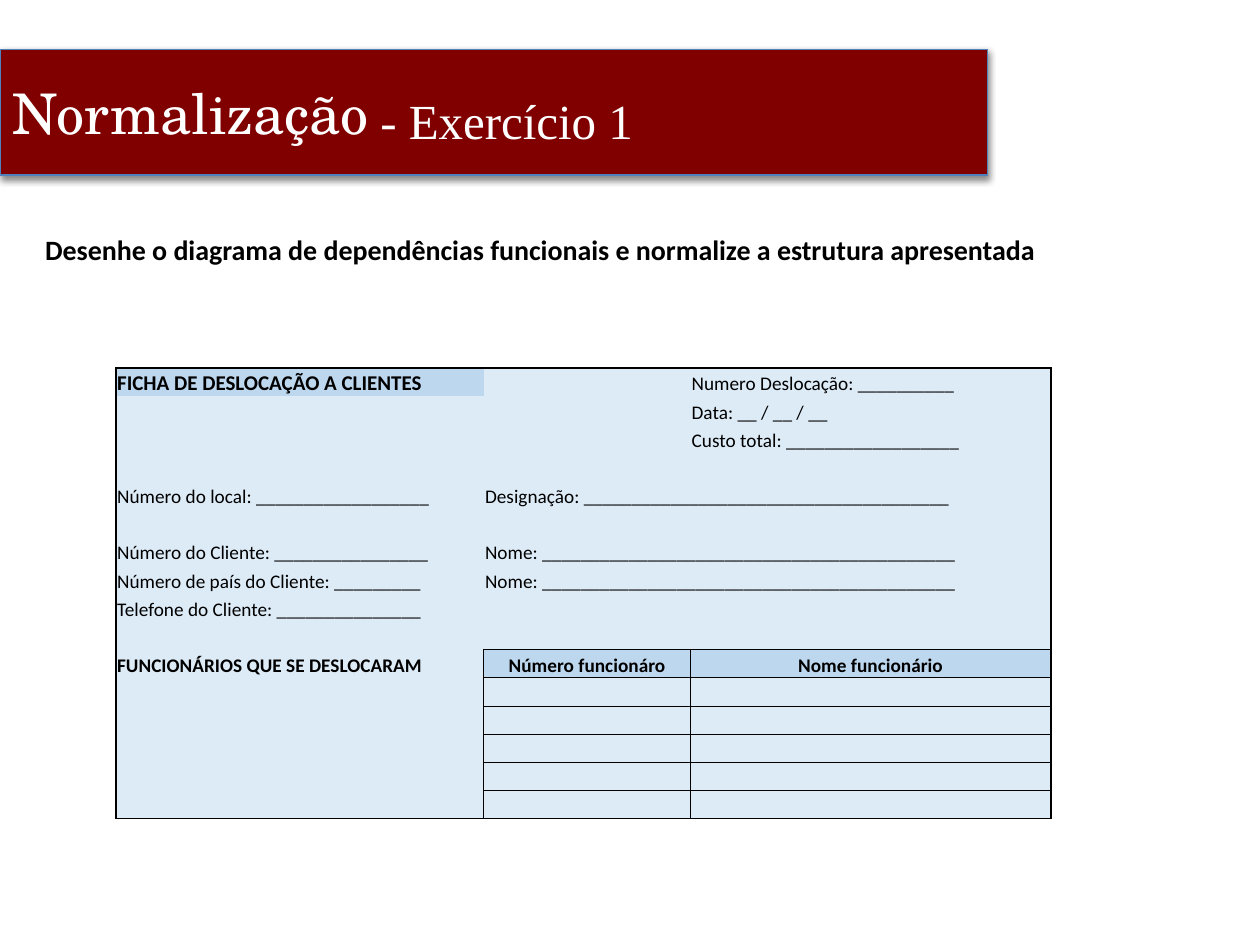
from dataclasses import dataclass

from lxml.etree import SubElement
from pptx import Presentation
from pptx.dml.color import RGBColor
from pptx.enum.text import MSO_ANCHOR as Anchor, MSO_AUTO_SIZE as AutoSize, PP_ALIGN as Align
from pptx.oxml.ns import qn
from pptx.util import Emu, Inches, Pt


@dataclass(frozen=True)
class Theme:
    banner: str = "800000"
    banner_line: str = "4F81BD"
    white: str = "FFFFFF"
    ink: str = "000000"
    form: str = "DDEBF7"
    heading: str = "BDD7EE"
    title_font: str = "TeX Gyre Schola"
    subtitle_font: str = "Times New Roman"
    body_font: str = "Calibri"
    title_size: int = 32
    subtitle_size: int = 28
    task_size: int = 16
    form_title_size: int = 12
    form_size: int = 11
    outer_border: float = 1
    inner_border: float = 0.5


THEME = Theme()
ROWS = 16
COLUMN_WIDTHS = (2.92, 1.64, 2.86)
STAFF_ROW, STAFF_COLUMN = 10, 1
HEADINGS = {(0, 0), (STAFF_ROW, 1), (STAFF_ROW, 2)}
WIDE_FIELDS = {(4, 1), (6, 1), (7, 1)}
FIELDS = {
    (0, 0): "FICHA DE DESLOCAÇÃO A CLIENTES",
    (0, 2): "Numero Deslocação: __________",
    (1, 2): "Data: __ / __ / __",
    (2, 2): "Custo total: __________________",
    (4, 0): "Número do local: __________________",
    (4, 1): "Designação: ______________________________________",
    (6, 0): "Número do Cliente: ________________",
    (6, 1): "Nome: ___________________________________________",
    (7, 0): "Número de país do Cliente: _________",
    (7, 1): "Nome: ___________________________________________",
    (8, 0): "Telefone do Cliente: _______________",
    (STAFF_ROW, 0): "FUNCIONÁRIOS QUE SE DESLOCARAM",
    (STAFF_ROW, 1): "Número funcionáro",
    (STAFF_ROW, 2): "Nome funcionário",
}


def write_text(frame, text, *, font, size, color=THEME.ink, bold=False, align=Align.LEFT):
    paragraph = frame.paragraphs[0]
    paragraph.alignment = align
    run = paragraph.add_run()
    run.text = text
    run.font.name = font
    run.font.size = Pt(size)
    run.font.bold = bold
    run.font.color.rgb = RGBColor.from_string(color)


def place(shape, left, top, width, height):
    shape.left, shape.top = Inches(left), Inches(top)
    shape.width, shape.height = Inches(width), Inches(height)


def add_shadow(shape):
    effects = SubElement(shape._element.spPr, qn("a:effectLst"))
    shadow = SubElement(effects, qn("a:outerShdw"), blurRad=str(Pt(4)), dist=str(Pt(2)),
                        dir=str(90 * 60000), rotWithShape="0")
    color = SubElement(shadow, qn("a:srgbClr"), val=THEME.ink)
    SubElement(color, qn("a:alpha"), val="45000")


def add_banner(slide):
    banner = slide.shapes.title
    place(banner, 0, 0.39, 7.84, 1)
    banner.fill.solid()
    banner.fill.fore_color.rgb = RGBColor.from_string(THEME.banner)
    banner.line.color.rgb = RGBColor.from_string(THEME.banner_line)
    banner.line.width = Pt(0.75)
    add_shadow(banner)
    frame = banner.text_frame
    frame.auto_size = AutoSize.NONE
    frame.vertical_anchor = Anchor.MIDDLE
    write_text(frame, "Normalização", font=THEME.title_font, size=THEME.title_size,
               color=THEME.white)


def add_text(slide, text, left, top, width, height, **text_format):
    box = slide.shapes.add_textbox(Inches(left), Inches(top), Inches(width), Inches(height))
    box.text_frame.word_wrap = True
    write_text(box.text_frame, text, **text_format)


def border_widths(row, column, last_column):
    """Give the border widths of a cell, 0 for none: frame outside, grid around the staff list."""
    outer, inner = THEME.outer_border, THEME.inner_border
    in_staff_rows = row >= STAFF_ROW
    in_staff_list = in_staff_rows and column >= STAFF_COLUMN
    above_staff_list = row == STAFF_ROW - 1 and column >= STAFF_COLUMN
    grid = inner if in_staff_list else 0
    return {
        "L": outer if column == 0 else grid,
        "R": outer if last_column == len(COLUMN_WIDTHS) - 1 else inner if in_staff_rows else 0,
        "T": outer if row == 0 else grid,
        "B": outer if row == ROWS - 1 else inner if above_staff_list else grid,
    }


def set_borders(cell, widths):
    properties = cell._tc.get_or_add_tcPr()
    for side, width in widths.items():
        line = SubElement(properties, qn(f"a:ln{side}"), w=str(Pt(width)))
        if width:
            fill = SubElement(line, qn("a:solidFill"))
            SubElement(fill, qn("a:srgbClr"), val=THEME.ink)
        else:
            SubElement(line, qn("a:noFill"))


def format_cell(cell, row, column):
    position = (row, column)
    last_column = column + (position in WIDE_FIELDS)
    set_borders(cell, border_widths(row, column, last_column))
    cell.fill.solid()
    color = THEME.heading if position in HEADINGS else THEME.form
    cell.fill.fore_color.rgb = RGBColor.from_string(color)
    cell.margin_left = cell.margin_right = cell.margin_top = Inches(0.01)
    cell.margin_bottom = 0
    cell.vertical_anchor = Anchor.BOTTOM
    if position in FIELDS:
        in_staff_header = row == STAFF_ROW
        write_text(cell.text_frame, FIELDS[position], font=THEME.body_font,
                   size=THEME.form_title_size if position == (0, 0) else THEME.form_size,
                   bold=in_staff_header or position in HEADINGS,
                   align=Align.CENTER if in_staff_header and column else Align.LEFT)
    else:
        # An empty cell takes its height from the end-of-paragraph size.
        SubElement(cell.text_frame.paragraphs[0]._p, qn("a:endParaRPr"),
                   sz=str(THEME.form_size * 100))


def add_form(slide):
    height = Inches(3.58)
    table = slide.shapes.add_table(ROWS, len(COLUMN_WIDTHS), Inches(0.92), Inches(2.92),
                                   Inches(sum(COLUMN_WIDTHS)), height).table
    table.first_row = table.horz_banding = False
    for column, width in zip(table.columns, COLUMN_WIDTHS):
        column.width = Inches(width)
    for index, row in enumerate(table.rows):
        row.height = Emu(height // ROWS)
        for column, cell in enumerate(row.cells):
            format_cell(cell, index, column)
    for row, column in WIDE_FIELDS:
        table.cell(row, column).merge(table.cell(row, column + 1))


def main():
    presentation = Presentation()
    presentation.slide_width, presentation.slide_height = Inches(10), Inches(7.5)
    slide = presentation.slides.add_slide(presentation.slide_layouts.get_by_name("Title Only"))
    add_banner(slide)
    add_text(slide, "- Exercício 1", 2.92, 0.67, 3.58, 0.58,
             font=THEME.subtitle_font, size=THEME.subtitle_size, color=THEME.white)
    add_text(slide, "Desenhe o diagrama de dependências funcionais e normalize a estrutura apresentada",
             0.26, 1.8, 8.33, 0.37, font=THEME.body_font, size=THEME.task_size, bold=True)
    add_form(slide)
    presentation.save("out.pptx")


if __name__ == "__main__":
    main()
